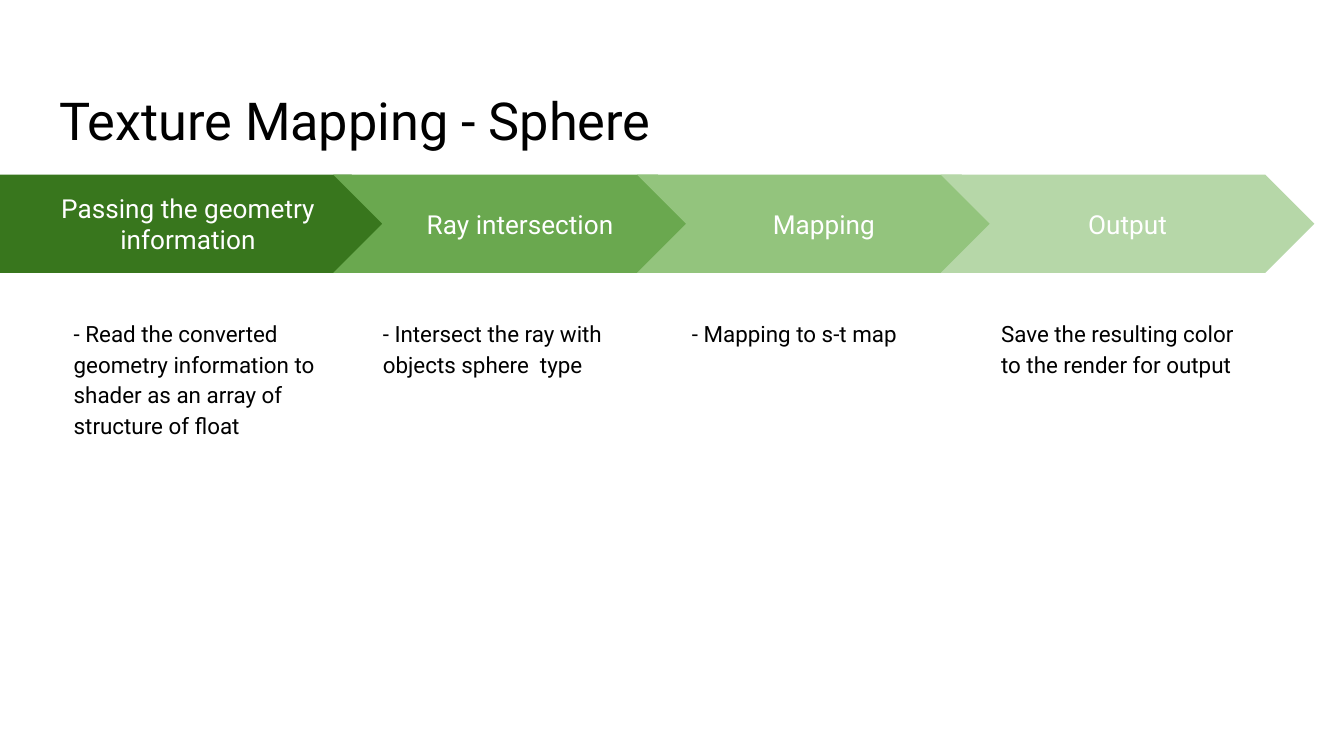
from dataclasses import dataclass

from pptx import Presentation
from pptx import util as u
from pptx.dml.color import RGBColor
from pptx.enum import shapes, text

COLORS = {
    "ink": "000000",
    "label": "FFFFFF",
    "step1": "38761D",
    "step2": "6AA84F",
    "step3": "93C47D",
    "step4": "B6D7A8",
}
FONT = "Roboto"

# Slide is 16:9
SLIDE_W = u.Inches(10)
SLIDE_H = SLIDE_W * 9 // 16

# Grid, in inches: arrows and notes each repeat at their own pitch
ARROW_TOP, ARROW_H, ARROW_W = 1.3, 0.73, 2.78
ARROW_LEFT, ARROW_PITCH = 0.22, 2.26
FIRST_ARROW_W = 2.98
NOTE_TOP, NOTE_H, NOTE_W = 2.25, 2.86, 2.08
NOTE_LEFT, NOTE_PITCH = 0.45, 2.3


@dataclass
class Step:
    label: str
    note: str
    color: str


STEPS = [
    Step("Passing the geometry information",
         "- Read the converted geometry information to shader as an array of structure of float",
         "step1"),
    Step("Ray intersection", "- Intersect the ray with objects sphere  type", "step2"),
    Step("Mapping", "- Mapping to s-t map", "step3"),
    Step("Output", "Save the resulting color to the render for output", "step4"),
]


def rgb(name: str) -> RGBColor:
    return RGBColor.from_string(COLORS[name])


def place(sp, left: float, top: float, width: float, height: float) -> None:
    sp.left, sp.top = u.Inches(left), u.Inches(top)
    sp.width, sp.height = u.Inches(width), u.Inches(height)


def write(sp, words: str, size: int, color: str, align=text.PP_ALIGN.LEFT,
          anchor=text.MSO_ANCHOR.TOP, spacing: float = 1.0) -> None:
    tf = sp.text_frame
    tf.word_wrap = True
    tf.auto_size = text.MSO_AUTO_SIZE.NONE
    tf.vertical_anchor = anchor
    tf.margin_left = tf.margin_right = tf.margin_top = tf.margin_bottom = u.Inches(0.1)
    p = tf.paragraphs[0]
    p.text = words
    p.alignment = align
    p.line_spacing = spacing
    p.font.name, p.font.size = FONT, u.Pt(size)
    p.font.color.rgb = rgb(color)


def draw_arrow(s, column: int, step: Step) -> None:
    if column == 0:
        kind, left, width = shapes.MSO_SHAPE.PENTAGON, 0, FIRST_ARROW_W
    else:
        kind, width = shapes.MSO_SHAPE.CHEVRON, ARROW_W
        left = ARROW_LEFT + column * ARROW_PITCH
    sp = s.shapes.add_shape(kind, 0, 0, 0, 0)
    place(sp, left, ARROW_TOP, width, ARROW_H)
    sp.adjustments[0] = 0.5
    sp.shadow.inherit = False
    sp.fill.solid()
    sp.fill.fore_color.rgb = rgb(step.color)
    sp.line.fill.background()
    write(sp, step.label, 14, "label", text.PP_ALIGN.CENTER, text.MSO_ANCHOR.MIDDLE)


def draw_note(s, column: int, step: Step) -> None:
    sp = s.shapes.add_textbox(0, 0, 0, 0)
    place(sp, NOTE_LEFT + column * NOTE_PITCH, NOTE_TOP, NOTE_W, NOTE_H)
    write(sp, step.note, 12, "ink", spacing=1.15)


def main() -> None:
    prs = Presentation()
    prs.slide_width, prs.slide_height = SLIDE_W, SLIDE_H
    s = prs.slides.add_slide(prs.slide_layouts[5])

    # Title
    title = s.shapes.title
    place(title, 0.34, 0.49, 9.32, 0.63)
    write(title, "Texture Mapping - Sphere", 28, "ink", spacing=1.15)
    title.text_frame.paragraphs[0].space_after = u.Pt(16)

    # Process steps, each arrow overlapping the one before
    for column, step in enumerate(STEPS):
        draw_arrow(s, column, step)
        draw_note(s, column, step)

    prs.save("out.pptx")


if __name__ == "__main__":
    main()
